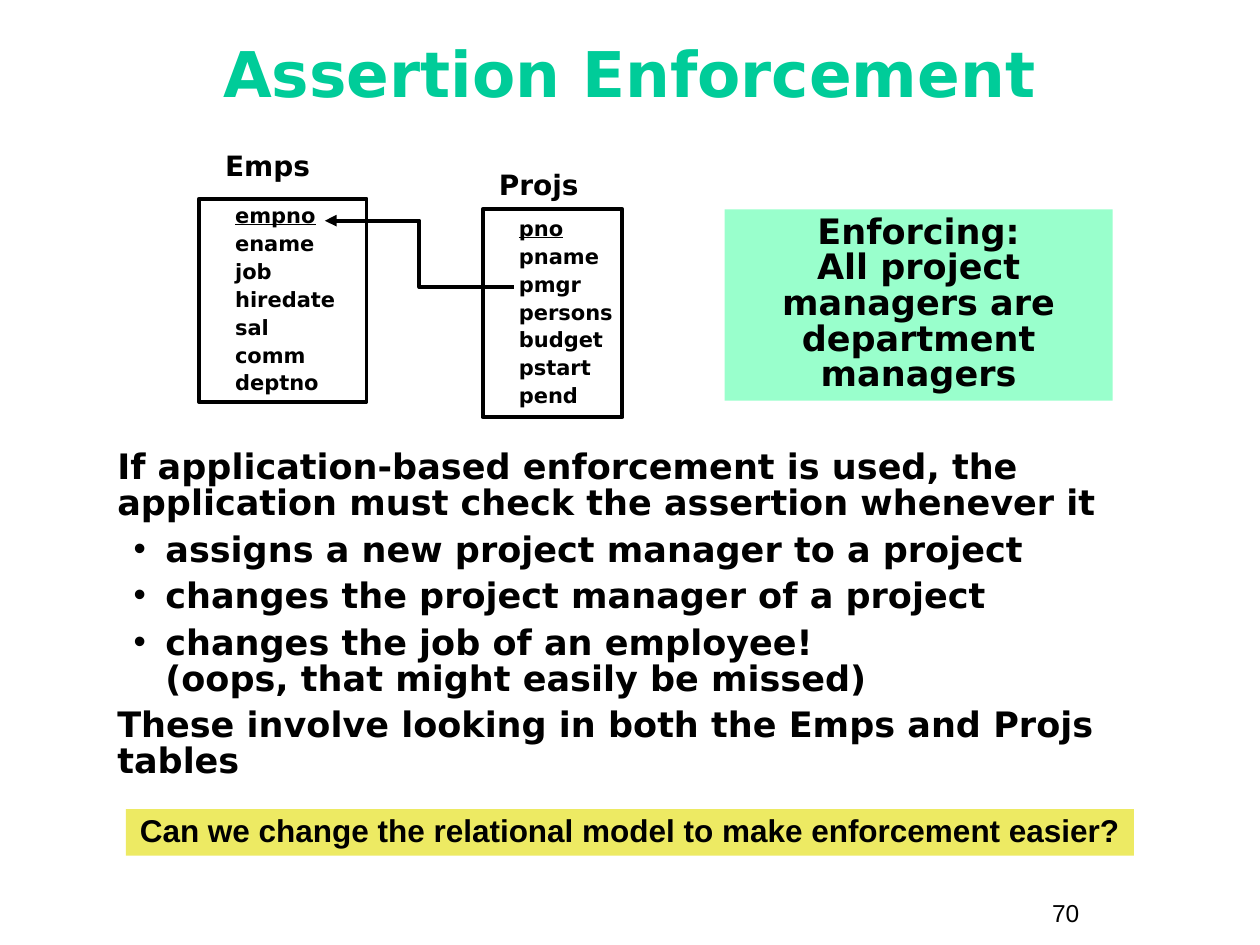
from copy import deepcopy

from pptx import Presentation
from pptx.dml.color import RGBColor
from pptx.enum.shapes import MSO_CONNECTOR, MSO_SHAPE
from pptx.enum.text import MSO_ANCHOR, MSO_AUTO_SIZE, PP_ALIGN
from pptx.oxml.ns import qn
from pptx.util import Cm, Pt
from lxml.etree import SubElement

SANS = "DejaVu Sans"
BLACK = "000000"


def rgb(code):
    return RGBColor.from_string(code)


def style(item, vals):
    for name, val in vals.items():
        setattr(item, name, val)


def place(shape, box):
    names = ("left", "top", "width", "height")
    style(shape, dict(zip(names, map(Cm, box))))


def indent(para, left, first=0, mark=None):
    """Set the indents in cm and the bullet, or no bullet."""
    props = para._p.get_or_add_pPr()
    props.set("marL", str(Cm(left)))
    props.set("indent", str(Cm(first)))
    if mark:
        color = SubElement(props, qn("a:buClr"))
        SubElement(color, qn("a:srgbClr"), val=BLACK)
        SubElement(props, qn("a:buFont"), typeface="Arial")
        SubElement(props, qn("a:buChar"), char=mark)
    else:
        SubElement(props, qn("a:buNone"))


def ink(para, size, face=SANS, color=BLACK, bold=True, under=None):
    for run in para.runs:
        style(run.font, {"size": Pt(size), "name": face,
                         "bold": bold, "underline": under})
        run.font.color.rgb = rgb(color)
    for brk in para._p.findall(qn("a:br")):
        brk.append(deepcopy(para.runs[0]._r.rPr))


def write(frame, lines, size, space=0.9, gap=0, align=PP_ALIGN.LEFT,
          anchor=MSO_ANCHOR.TOP, **look):
    """Fill a frame with one paragraph a line and return the paragraphs."""
    style(frame, {"word_wrap": True, "auto_size": MSO_AUTO_SIZE.NONE,
                  "vertical_anchor": anchor})
    frame.text = "\n".join(lines)
    for i, para in enumerate(frame.paragraphs):
        style(para, {"line_spacing": space, "alignment": align,
                     "space_before": Pt(gap if i else 0),
                     "space_after": Pt(0)})
        ink(para, size, **look)
    return frame.paragraphs


def label(slide, box, text, size, **look):
    shape = slide.shapes.add_textbox(*map(Cm, box))
    write(shape.text_frame, [text], size, **look)


def panel(slide, box, fill=None, line=None):
    shape = slide.shapes.add_shape(MSO_SHAPE.RECTANGLE, *map(Cm, box))
    shape.shadow.inherit = False
    if fill:
        shape.fill.solid()
        shape.fill.fore_color.rgb = rgb(fill)
    else:
        shape.fill.background()
    if line:
        shape.line.color.rgb = rgb(line)
        shape.line.width = Pt(2.25)
    else:
        shape.line.fill.background()
    return shape


def head(slide, box):
    title = slide.shapes.title
    place(title, box)
    write(title.text_frame, ["Assertion Enforcement"], 36, space=0.85,
          align=PP_ALIGN.CENTER, anchor=MSO_ANCHOR.MIDDLE, color="00CC99")


def entity(slide, box, name, shift, fields):
    """Draw a named box of fields, the first one underlined as the key."""
    left, top = box[:2]
    frame = panel(slide, box, line=BLACK).text_frame
    frame.margin_right = 0
    paras = write(frame, fields, 12, gap=3, anchor=MSO_ANCHOR.MIDDLE)
    for para in paras:
        indent(para, 0.48)
    paras[0].runs[0].font.underline = True
    label(slide, (left + shift[0], top + shift[1], 3.45, 0.86), name, 16)


def schema(slide, box):
    left, top = box
    entity(slide, (left, top, 3.38, 4.09), "Emps", (0.28, -1.06),
           ["empno", "ename", "job", "hiredate", "sal", "comm", "deptno"])
    entity(slide, (left + 5.72, top + 0.21, 2.82, 4.19), "Projs",
           (0.08, -0.89),
           ["pno", "pname", "pmgr", "persons", "budget", "pstart", "pend"])
    ends = (left + 2.54, top + 0.44, left + 6.35, top + 1.78)
    link = slide.shapes.add_connector(MSO_CONNECTOR.ELBOW, *map(Cm, ends))
    link.line.color.rgb = rgb(BLACK)
    link.line.width = Pt(2.25)
    SubElement(link.line._get_or_add_ln(), qn("a:headEnd"), type="triangle")
    SubElement(link._element.spPr, qn("a:effectLst"))


def note(slide, box, fill, text, size, **look):
    write(panel(slide, box, fill).text_frame, [text], size,
          align=PP_ALIGN.CENTER, **look)


def body(slide, box):
    shape = slide.placeholders[1]
    place(shape, box)
    points = [
        "assigns a new project manager to a project",
        "changes the project manager of a project",
        "changes the job of an employee! \v(oops, that might easily be missed)",
    ]
    lines = [
        "If application-based enforcement is used, the application must "
        "check the assertion whenever it",
        *points,
        "These involve looking in both the Emps and Projs tables",
    ]
    paras = write(shape.text_frame, lines, 20, space=0.85, gap=6.2)
    for para, line in zip(paras, lines):
        if line in points:
            para.level = 1
            indent(para, 0.97, -0.64, "•")
        else:
            indent(para, 0)


def main():
    deck = Presentation()
    style(deck, {"slide_width": Cm(25.4), "slide_height": Cm(19.05)})
    slide = deck.slides.add_slide(deck.slide_layouts[1])
    head(slide, (0.84, 0.41, 23.7, 2.34))
    schema(slide, (4.01, 4.01))
    note(slide, (14.61, 4.22, 7.82, 3.86), "99FFCC",
         "Enforcing:\vAll project managers are department managers", 20,
         space=0.85)
    body(slide, (2.11, 8.97, 20.32, 6.17))
    note(slide, (2.54, 16.31, 20.32, 0.94), "EDEA63",
         "Can we change the relational model to make enforcement easier?",
         18, face="Arial")
    label(slide, (20.96, 17.98, 2.34, 0.86), "70", 14, space=1.0,
          face="Arial", bold=False)
    deck.save("out.pptx")


if __name__ == "__main__":
    main()
